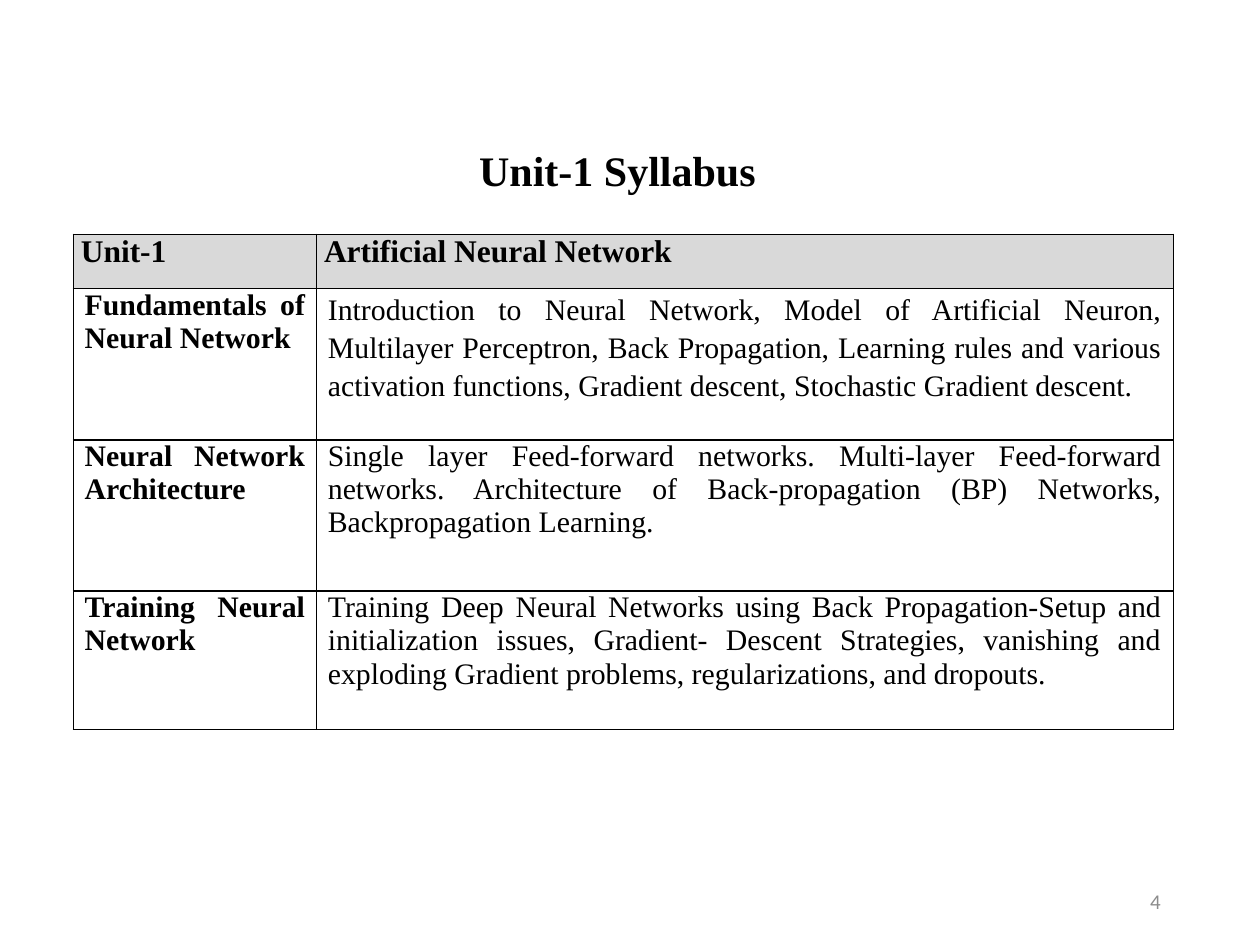
"""Build the Unit-1 syllabus slide with its topic table."""
import pptx
import pptx.dml.color
import pptx.enum.text
import pptx.oxml
import pptx.oxml.ns
import pptx.util

Pt = pptx.util.Pt
ALIGN = pptx.enum.text.PP_ALIGN
MIDDLE = pptx.enum.text.MSO_ANCHOR.MIDDLE
SERIF = "Times New Roman"
HEX = {"ink": "000000", "head": "D9D9D9", "body": "FFFFFF", "page": "8C8C8C"}


def style(para, size, bold, align, face=SERIF, ink="ink"):
    para.alignment = align
    for run in para.runs:
        run.font.name = face
        run.font.size = Pt(size)
        run.font.bold = bold
        run.font.color.rgb = pptx.dml.color.RGBColor.from_string(HEX[ink])


def label(slide, text, left, top, width, height):
    box = slide.shapes.add_textbox(Pt(left), Pt(top), Pt(width), Pt(height))
    frame = box.text_frame
    frame.word_wrap = True
    frame.vertical_anchor = MIDDLE
    frame.text = text
    return frame.paragraphs[0]


deck = pptx.Presentation()
deck.slide_width, deck.slide_height = Pt(720), Pt(540)
slide = deck.slides.add_slide(deck.slide_layouts[6])

title = label(slide, "Unit-1 Syllabus", 42.5, 73.5, 620.6, 50.4)
style(title, 24, True, ALIGN.CENTER)
title.line_spacing = 0.9

rows = [
    ("Unit-1", "Artificial Neural Network"),
    ("Fundamentals of Neural Network",
     "Introduction to Neural Network, Model of Artificial Neuron, Multilayer "
     "Perceptron, Back Propagation, Learning rules and various activation "
     "functions, Gradient descent, Stochastic Gradient descent."),
    ("Neural Network Architecture",
     "Single layer Feed-forward networks. Multi-layer Feed-forward networks. "
     "Architecture of Back-propagation (BP) Networks, Backpropagation Learning."),
    ("Training Neural Network",
     "Training Deep Neural Networks using Back Propagation-Setup and "
     "initialization issues, Gradient- Descent Strategies, vanishing and "
     "exploding Gradient problems, regularizations, and dropouts."),
]
wide = [139, 489.6]
high = [31, 86.4, 86.4, 79.2]

grid = slide.shapes.add_table(
    len(rows), len(wide), Pt(41.9), Pt(133.9), Pt(sum(wide)), Pt(sum(high))).table
for col, width in zip(grid.columns, wide):
    col.width = Pt(width)
for row, height in zip(grid.rows, high):
    row.height = Pt(height)

for i, texts in enumerate(rows):
    for j, text in enumerate(texts):
        cell = grid.cell(i, j)
        cell.margin_left = cell.margin_right = Pt(6.5 if i else 4.3)
        cell.margin_top = cell.margin_bottom = Pt(0)
        cell.text_frame.text = text
        style(cell.text_frame.paragraphs[0], 17 if i else 18,
              i == 0 or j == 0, ALIGN.JUSTIFY)
        props = cell._tc.get_or_add_tcPr()
        for side in ("lnL", "lnR", "lnT", "lnB"):
            props.append(pptx.oxml.parse_xml(
                f'<a:{side} {pptx.oxml.ns.nsdecls("a")} w="{Pt(1)}"><a:solidFill>'
                f'<a:srgbClr val="{HEX["ink"]}"/></a:solidFill></a:{side}>'))
        cell.fill.solid()
        cell.fill.fore_color.rgb = pptx.dml.color.RGBColor.from_string(
            HEX["body" if i else "head"])

intro = grid.cell(1, 1).text_frame.paragraphs[0]
intro.line_spacing = 1.15
intro.space_after = Pt(8)

page = label(slide, "4", 508.3, 500.4, 162, 28.8)
style(page, 12, False, ALIGN.RIGHT, "Calibri", "page")

deck.save("out.pptx")
